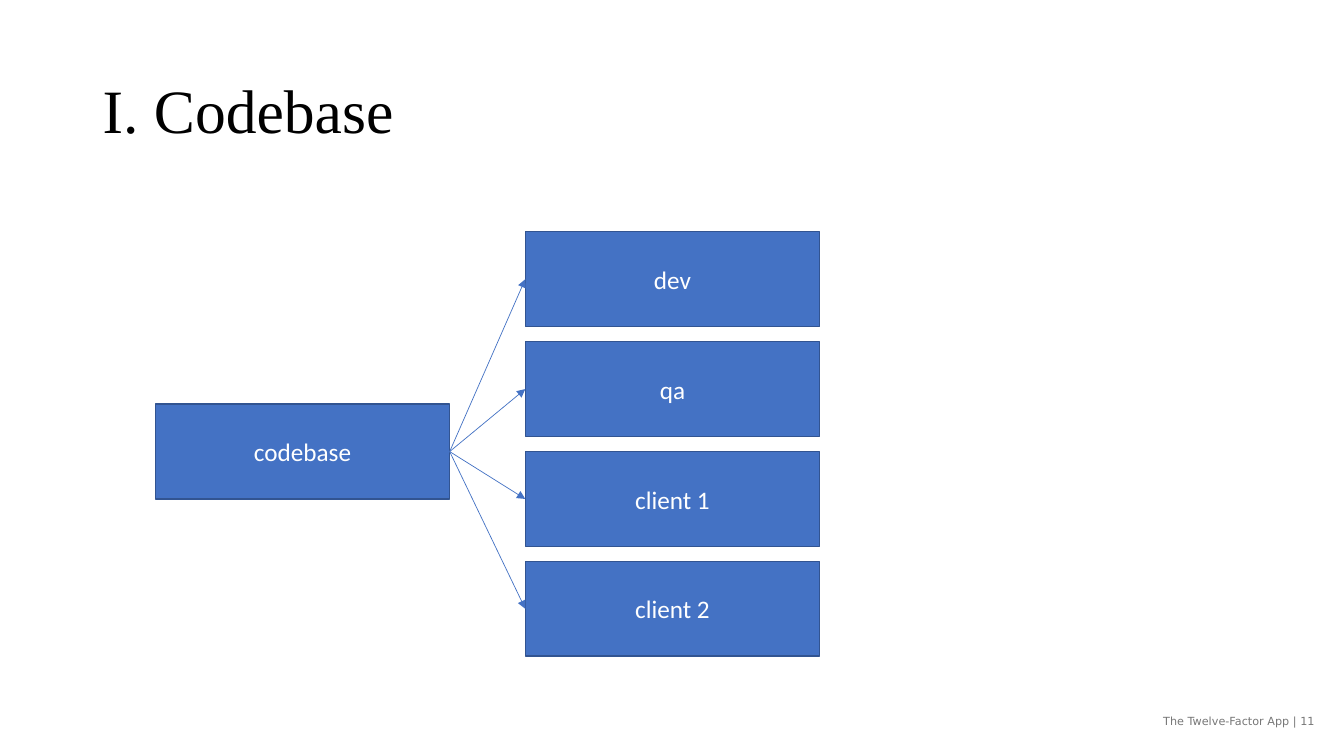
from lxml import etree
from pptx import Presentation
from pptx import util as u
from pptx.dml.color import RGBColor
from pptx.enum import shapes, text
from pptx.oxml import ns

TITLE = "I. Codebase"
FOOTER = "The Twelve-Factor App | 11"
SOURCE = "codebase"
DEPLOYS = ["dev", "qa", "client 1", "client 2"]

BOX_WIDTH, BOX_HEIGHT = 2.92, 0.94
SOURCE_LEFT, SOURCE_TOP = 1.54, 4.01
DEPLOY_LEFT, DEPLOY_TOP, DEPLOY_PITCH = 5.21, 2.3, 1.09
BLUE, DARK_BLUE = "4472C4", "325491"


def color(value):
    return RGBColor.from_string(value)


def write(shape, content, size, font, fill, align=text.PP_ALIGN.LEFT, spacing=None):
    frame = shape.text_frame
    frame.word_wrap = True
    frame.vertical_anchor = text.MSO_ANCHOR.MIDDLE
    paragraph = frame.paragraphs[0]
    paragraph.text = content
    paragraph.alignment = align
    paragraph.line_spacing = spacing
    paragraph.font.size = u.Pt(size)
    paragraph.font.name = font
    paragraph.font.color.rgb = color(fill)


def add_label(slide, content, left, top, width, height, **style):
    shape = slide.shapes.add_textbox(*map(u.Inches, (left, top, width, height)))
    write(shape, content, **style)


def add_box(slide, content, left, top):
    shape = slide.shapes.add_shape(
        shapes.MSO_SHAPE.RECTANGLE,
        *map(u.Inches, (left, top, BOX_WIDTH, BOX_HEIGHT)))
    shape.shadow.inherit = False
    shape.fill.solid()
    shape.fill.fore_color.rgb = color(BLUE)
    shape.line.color.rgb = color(DARK_BLUE)
    shape.line.width = u.Pt(1)
    write(shape, content, size=18, font="Calibri", fill="FFFFFF",
          align=text.PP_ALIGN.CENTER)
    return shape


def add_arrow(slide, start, end):
    arrow = slide.shapes.add_connector(shapes.MSO_CONNECTOR.STRAIGHT, 0, 0, 0, 0)
    arrow.begin_connect(start, 3)
    arrow.end_connect(end, 1)
    arrow.line.color.rgb = color(BLUE)
    arrow.line.width = u.Pt(0.5)
    etree.SubElement(arrow.line._get_or_add_ln(), ns.qn("a:tailEnd"), type="triangle")
    etree.SubElement(arrow._element.spPr, ns.qn("a:effectLst"))


def main():
    presentation = Presentation()
    presentation.slide_width = u.Inches(13.33)
    presentation.slide_height = u.Inches(7.5)
    slide = presentation.slides.add_slide(presentation.slide_layouts[6])

    add_label(slide, TITLE, 0.92, 0.4, 11.5, 1.45, size=44,
              font="Times New Roman", fill="000000", spacing=0.9)
    add_label(slide, FOOTER, 10.14, 6.95, 3, 0.4, size=8,
              font="DejaVu Sans", fill="777777", align=text.PP_ALIGN.RIGHT)

    deploys = [add_box(slide, name, DEPLOY_LEFT, DEPLOY_TOP + row * DEPLOY_PITCH)
               for row, name in enumerate(DEPLOYS)]
    source = add_box(slide, SOURCE, SOURCE_LEFT, SOURCE_TOP)
    for deploy in deploys:
        add_arrow(slide, source, deploy)

    presentation.save("out.pptx")


if __name__ == "__main__":
    main()
